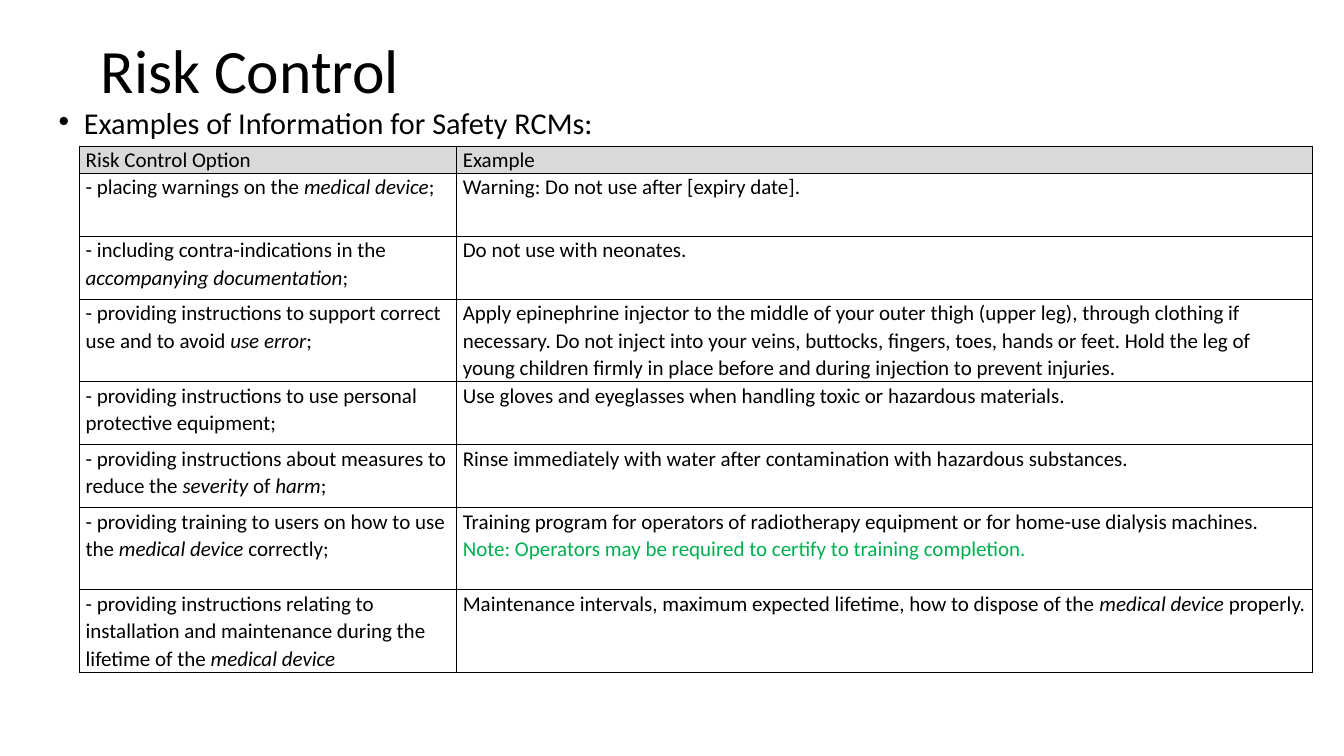
from lxml import etree
from pptx import Presentation
from pptx.dml.color import RGBColor
from pptx.enum.text import MSO_ANCHOR
from pptx.oxml.ns import qn
from pptx.util import Inches, Pt

MIDDLE = MSO_ANCHOR.MIDDLE
COL = ROW = Inches(1)
FONT = "Calibri"
COLORS = {"text": "000000", "note": "00B050", "header": "D9D9D9", "border": "000000"}
COL_WIDTHS = [4.49, 10.18]
HEADER_HEIGHT, BODY_HEIGHT, TALL_HEIGHT = 0.32, 0.75, 0.98
TALL_ROWS = (3, 6, 7)

ROWS = [
    ("Risk Control Option", "Example"),
    ("- placing warnings on the *medical device*;",
     "Warning: Do not use after [expiry date]."),
    ("- including contra-indications in the *accompanying documentation*;",
     "Do not use with neonates."),
    ("- providing instructions to support correct use and to avoid *use error*;",
     "Apply epinephrine injector to the middle of your outer thigh (upper leg), through "
     "clothing if necessary. Do not inject into your veins, buttocks, fingers, toes, hands "
     "or feet. Hold the leg of young children firmly in place before and during injection "
     "to prevent injuries."),
    ("- providing instructions to use personal protective equipment;",
     "Use gloves and eyeglasses when handling toxic or hazardous materials."),
    ("- providing instructions about measures to reduce the *severity *of *harm*;",
     "Rinse immediately with water after contamination with hazardous substances."),
    ("- providing training to users on how to use the *medical device *correctly;",
     "Training program for operators of radiotherapy equipment or for home-use dialysis "
     "machines.|Note: Operators may be required to certify to training completion."),
    ("- providing instructions relating to installation and maintenance during the "
     "lifetime of the *medical device*",
     "Maintenance intervals, maximum expected lifetime, how to dispose of the "
     "*medical device *properly."),
]


def add_run(p, text, size, color="text", italic=False):
    """Append one formatted run to a paragraph."""
    r = p.add_run()
    r.text = text
    r.font.name, r.font.size, r.font.italic = FONT, Pt(size), italic
    r.font.color.rgb = RGBColor.from_string(COLORS[color])


def add_marked_text(p, text, size):
    """Write text where * toggles italics and | starts a note line."""
    body, _, note = text.partition("|")
    for i, part in enumerate(body.split("*")):
        if part:
            add_run(p, part, size, italic=i % 2 == 1)
    if note:
        p.add_line_break()
        add_run(p, note, size, "note")


def add_text(s, box, text, size, spacing):
    """Add a wrapped text box and return its frame."""
    left, top, width, height = box
    tf = s.shapes.add_textbox(int(left * COL), int(top * ROW),
                              int(width * COL), int(height * ROW)).text_frame
    tf.word_wrap = True
    p = tf.paragraphs[0]
    p.line_spacing = spacing
    add_run(p, text, size)
    return tf


def set_bullet(p, margin, indent):
    """Give a paragraph a hanging round bullet."""
    pPr = p._p.get_or_add_pPr()
    pPr.set("marL", str(int(margin * COL)))
    pPr.set("indent", str(int(indent * COL)))
    etree.SubElement(pPr, qn("a:buFont"), typeface="Arial")
    etree.SubElement(pPr, qn("a:buChar"), char="•")


def set_borders(cell):
    """Draw a thin line on all four sides of a cell."""
    tcPr = cell._tc.get_or_add_tcPr()
    for i, side in enumerate(("lnL", "lnR", "lnT", "lnB")):
        line = etree.Element(qn(f"a:{side}"), w=str(Pt(1)))
        fill = etree.SubElement(line, qn("a:solidFill"))
        etree.SubElement(fill, qn("a:srgbClr"), val=COLORS["border"])
        tcPr.insert(i, line)


def fill_cell(cell, text, is_header):
    """Write and style one table cell."""
    cell.margin_left = cell.margin_right = Inches(0.07)
    cell.margin_top = cell.margin_bottom = 0
    if is_header:
        cell.fill.solid()
        cell.fill.fore_color.rgb = RGBColor.from_string(COLORS["header"])
    else:
        cell.fill.background()
    set_borders(cell)
    p = cell.text_frame.paragraphs[0]
    p.line_spacing = 1.07
    add_marked_text(p, text, 18)


def row_height(i):
    """Return the height of a table row in grid rows."""
    if i == 0:
        return HEADER_HEIGHT
    return TALL_HEIGHT if i in TALL_ROWS else BODY_HEIGHT


def add_risk_table(s, left, top):
    """Add the table of risk control options and examples."""
    heights = [row_height(i) for i in range(len(ROWS))]
    table = s.shapes.add_table(len(ROWS), len(COL_WIDTHS), int(left * COL), int(top * ROW),
                               int(sum(COL_WIDTHS) * COL), int(sum(heights) * ROW)).table
    table.horz_banding = table.first_row = False
    for column, width in zip(table.columns, COL_WIDTHS):
        column.width = int(width * COL)
    for i, (row, texts) in enumerate(zip(table.rows, ROWS)):
        row.height = int(heights[i] * ROW)
        for cell, text in zip(row.cells, texts):
            fill_cell(cell, text, i == 0)


def main():
    """Build and save the slide."""
    prs = Presentation()
    prs.slide_width, prs.slide_height = 16 * COL, 9 * ROW
    s = prs.slides.add_slide(prs.slide_layouts[6])
    title = add_text(s, (1.1, 0, 13.8, 1.74), "Risk Control", 52.8, 0.9)
    title.vertical_anchor = MIDDLE
    intro = add_text(s, (0, 1.31, 14.79, 0.43),
                     "Examples of Information for Safety RCMs:", 25.9, 0.7)
    set_bullet(intro.paragraphs[0], 0.9, -0.3)
    add_risk_table(s, 0.95, 1.74)
    prs.save("out.pptx")


if __name__ == "__main__":
    main()
